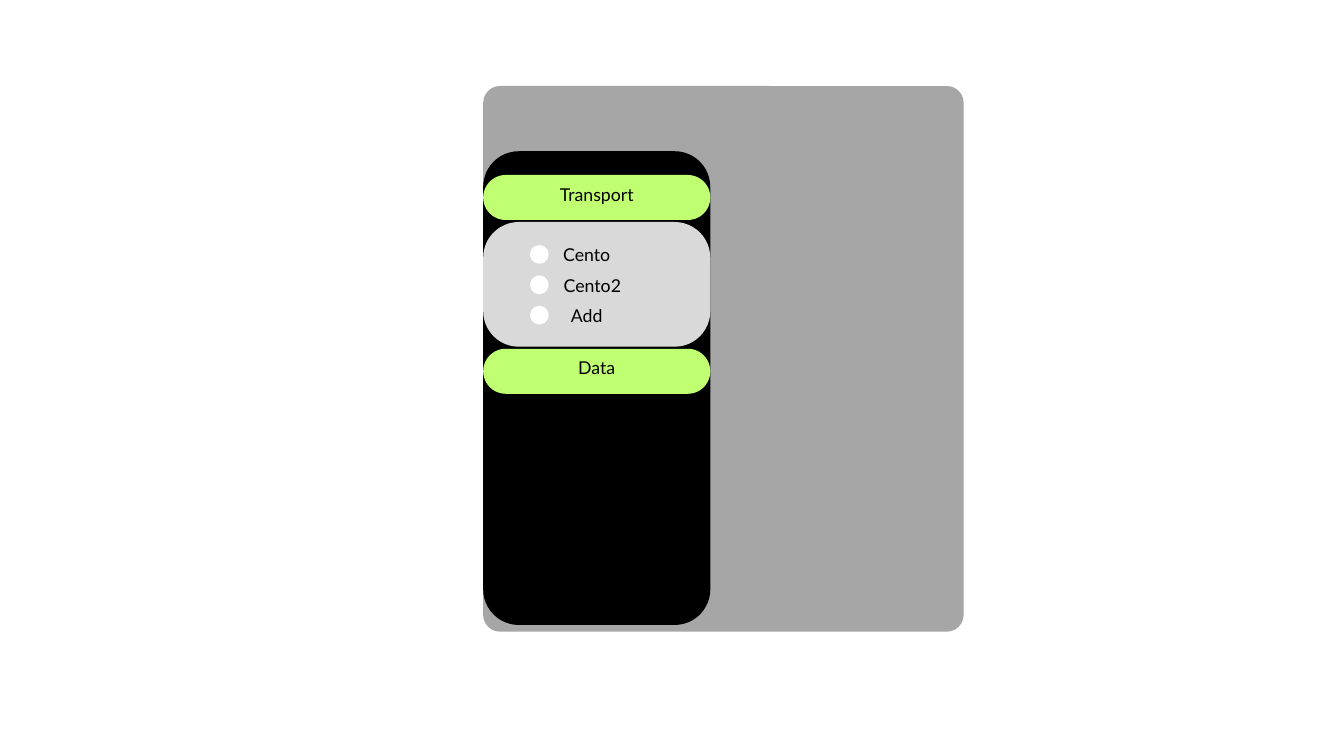
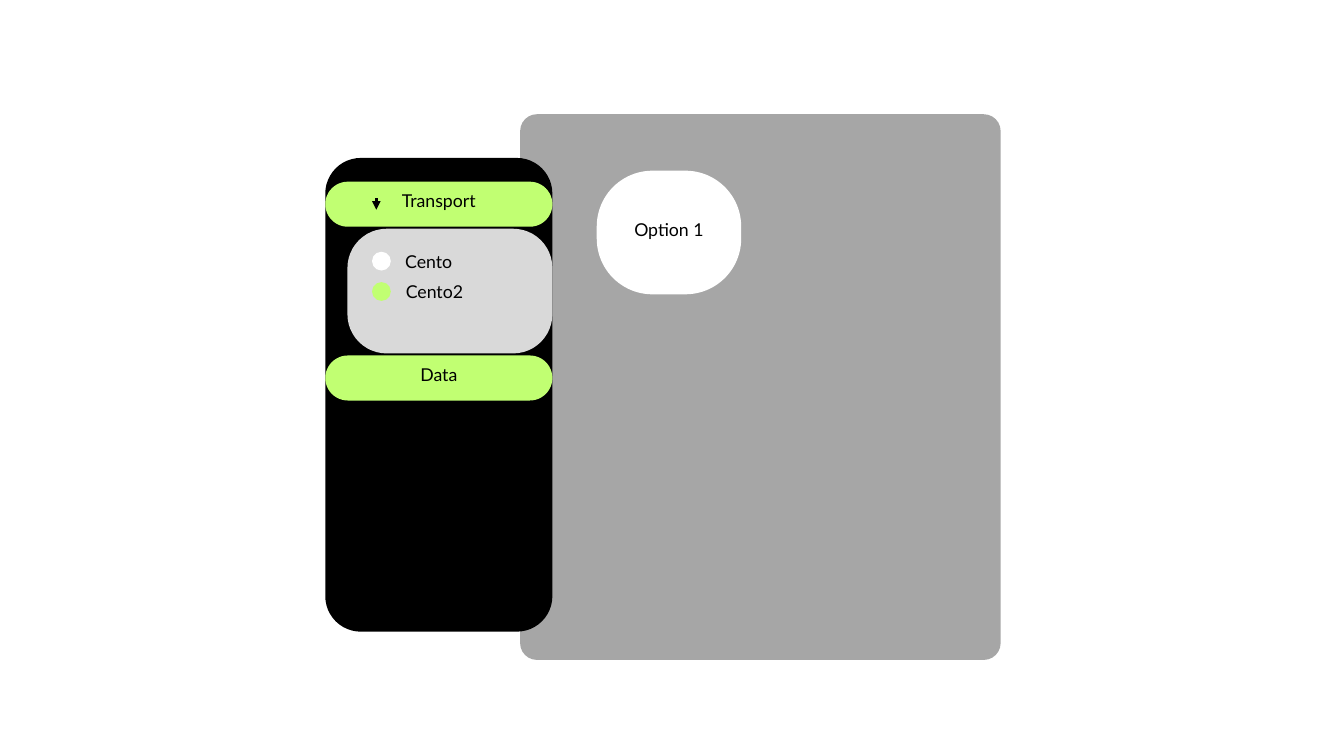
from dataclasses import dataclass

from lxml import etree
from pptx import Presentation
from pptx import util as u
from pptx.dml.color import RGBColor
from pptx.enum import shapes, text
from pptx.oxml import ns


@dataclass(frozen=True)
class Theme:
    canvas: str = "A6A6A6"
    sidebar: str = "000000"
    accent: str = "C1FF72"
    options: str = "D9D9D9"
    white: str = "FFFFFF"
    ink: str = "000000"
    font: str = "Lato"
    size: float = 19
    leading: float = 26.6


theme = Theme()
deck = Presentation()
deck.slide_width, deck.slide_height = u.Inches(20), u.Inches(11.25)
cell = deck.slide_width / 100  # square grid: 100 columns by 56.25 rows


def block(slide, left, top, width, height, color, radius=None):
    """Filled block with the given corner radius; an oval without one."""
    kind = shapes.MSO_SHAPE.OVAL if radius is None else shapes.MSO_SHAPE.ROUNDED_RECTANGLE
    shape = slide.shapes.add_shape(kind, *(round(n * cell) for n in (left, top, width, height)))
    if radius is not None:
        shape.adjustments[0] = min(radius / min(width, height), 0.5)
    shape.shadow.inherit = False
    shape.fill.solid()
    shape.fill.fore_color.rgb = RGBColor.from_string(color)
    shape.line.fill.background()


def write(slide, words, left, top, width, height, inset=0, anchor=text.MSO_ANCHOR.TOP):
    """Centred line of text."""
    box = slide.shapes.add_textbox(*(round(n * cell) for n in (left, top, width, height)))
    frame = box.text_frame
    frame.word_wrap = True
    frame.vertical_anchor = anchor
    frame.margin_left = frame.margin_right = u.Inches(inset)
    frame.margin_top = frame.margin_bottom = u.Inches(inset)
    line = frame.paragraphs[0]
    line.alignment = text.PP_ALIGN.CENTER
    line.line_spacing = u.Pt(theme.leading)
    run = line.add_run()
    run.text = words
    run.font.name = theme.font
    run.font.size = u.Pt(theme.size)
    run.font.color.rgb = RGBColor.from_string(theme.ink)


# Shared measures, in grid cells
canvas_size = 35.75, 40.6
sidebar_width, sidebar_height = 16.9, 35.25
header_height = 3.35
headers = {"Transport": 1.77, "Data": 14.7}
choice_pitch = 2.26
text_rise = 0.78  # captions start this far above their block
caption = {"inset": 0.06, "anchor": text.MSO_ANCHOR.MIDDLE}

# Canvas corner, sidebar corner, indent and radius of the options panel,
# then each choice with its text width and dot colour
screens = [
    ((35.95, 6.4), (35.95, 11.25), 0, 2.65,
     [("Cento", 4.1, theme.white), ("Cento2", 4.95, theme.white), ("Add", 4.1, theme.white)]),
    ((38.7, 8.5), (24.2, 11.75), 1.65, 2.92,
     [("Cento", 4.1, theme.white), ("Cento2", 4.95, theme.accent)]),
]

for canvas_corner, (left, top), indent, options_radius, choices in screens:
    slide = deck.slides.add_slide(deck.slide_layouts[6])

    # Canvas and sidebar
    block(slide, *canvas_corner, *canvas_size, theme.canvas, radius=1.25)
    block(slide, left, top, sidebar_width, sidebar_height, theme.sidebar, radius=2.65)

    # Section headers
    for title, offset in headers.items():
        block(slide, left, top + offset, sidebar_width, header_height, theme.accent, radius=1.68)
        write(slide, title, left, top + offset - text_rise,
              sidebar_width, header_height + text_rise, **caption)

    # Options panel with its choices
    block(slide, left + indent, top + 5.27, sidebar_width - indent, 9.28,
          theme.options, radius=options_radius)
    for row, (choice, width, dot_color) in enumerate(choices):
        drop = top + row * choice_pitch
        block(slide, left + 3.48, drop + 6.98, 1.4, 1.4, dot_color)
        write(slide, choice, left + 5.65, drop + 6.65, width, 1.75)

# Option card on the second canvas
card_left, card_top, card_width, card_height = 44.4, 12.7, 10.75, 9.2
block(slide, card_left, card_top, card_width, card_height, theme.white, radius=4.15)
write(slide, "Option 1", card_left, card_top - text_rise,
      card_width, card_height + text_rise, **caption)

# Arrow in the open Transport header
arrow = slide.shapes.add_connector(
    shapes.MSO_CONNECTOR.STRAIGHT, *(round(n * cell) for n in (28, 14.75, 28, 15.6)))
arrow.line.color.rgb = RGBColor.from_string(theme.ink)
arrow.line.width = u.Pt(3)
etree.SubElement(arrow.line._get_or_add_ln(), ns.qn("a:tailEnd"), type="triangle")
etree.SubElement(arrow._element.spPr, ns.qn("a:effectLst"))

deck.save("out.pptx")
